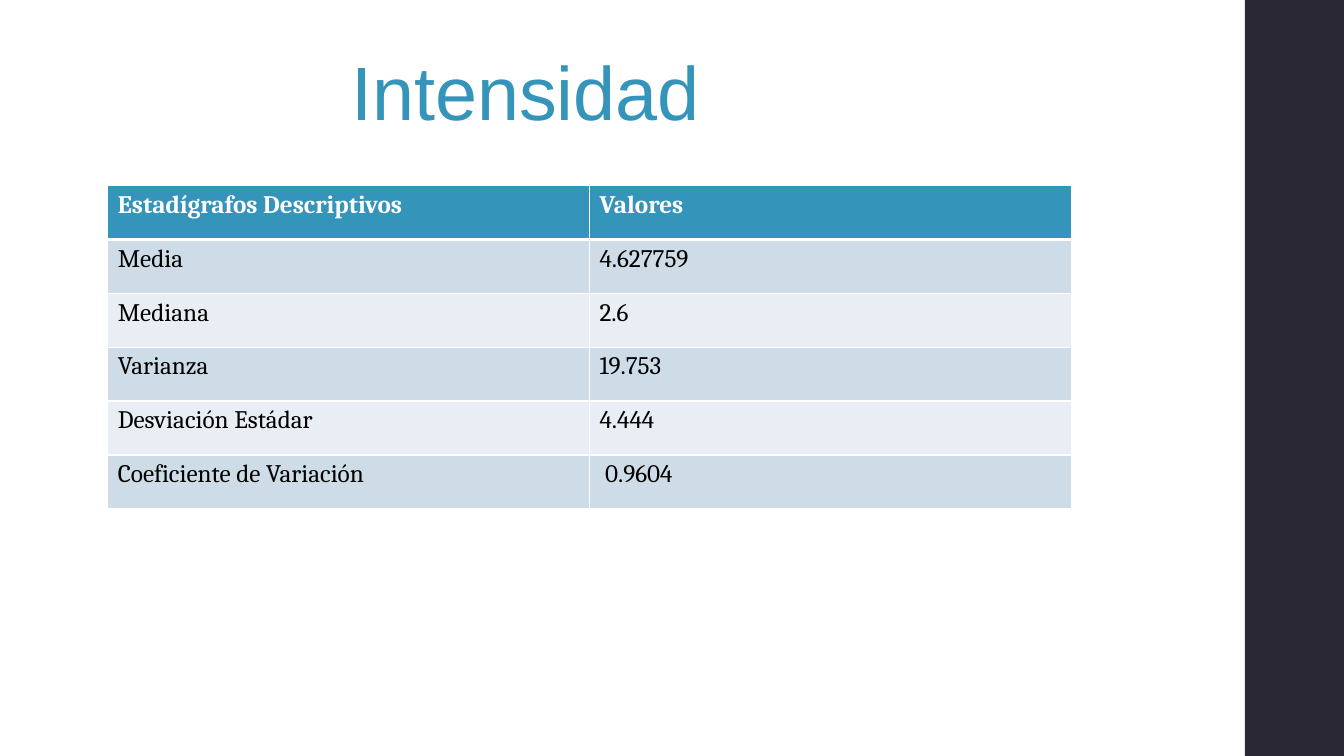
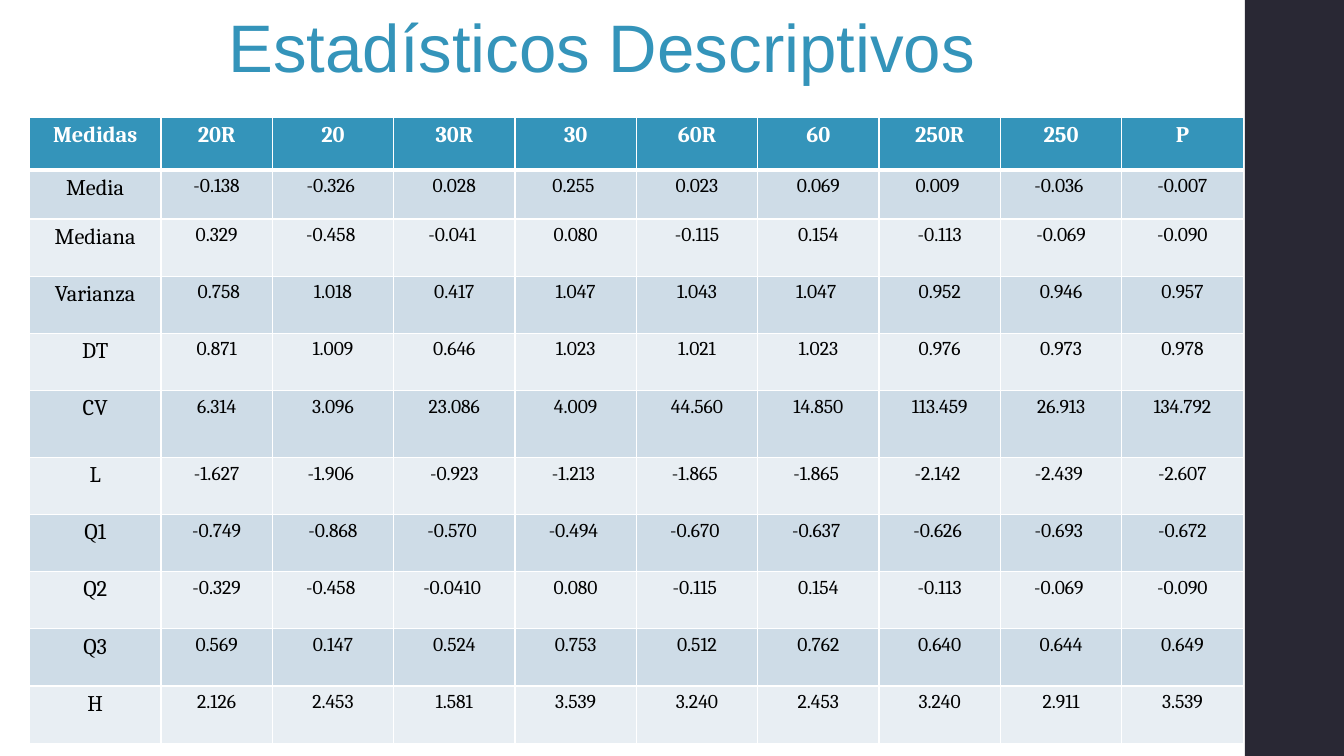
from dataclasses import dataclass

import pptx
import pptx.dml.color
import pptx.enum.shapes
import pptx.enum.text
import pptx.oxml
import pptx.oxml.ns
import pptx.presentation
import pptx.slide
import pptx.table
import pptx.util

SLIDE_WIDTH, SLIDE_HEIGHT = 960, 540
BAND_LEFT = 889.2

TEAL = "3494BA"
DARK = "292834"
WHITE = "FFFFFF"
BLACK = "000000"
ROW_FILLS = ("CEDCE7", "E8EEF3")

TITLE_FONT = "Arial"
TABLE_FONT = "Cambria"
BORDER_WIDTH, HEADER_RULE_WIDTH = 1, 3

LEFT = pptx.enum.text.PP_ALIGN.LEFT
CENTER = pptx.enum.text.PP_ALIGN.CENTER


@dataclass(frozen=True)
class Title:
    text: str
    left: float
    top: float
    width: float
    height: float
    size: float


@dataclass(frozen=True)
class StatisticsTable:
    left: float
    top: float
    column_widths: tuple[float, ...]
    row_heights: tuple[float, ...]
    label_size: float
    value_size: float
    alignment: pptx.enum.text.PP_ALIGN
    rows: tuple[tuple[str, ...], ...]


@dataclass(frozen=True)
class StatisticsSlide:
    title: Title
    table: StatisticsTable


INTENSITY = StatisticsSlide(
    Title("Intensidad", 242.6, 28.8, 265.7, 72.7, 54),
    StatisticsTable(
        left=77, top=132.5,
        column_widths=(344.1,) * 2,
        row_heights=(38.5,) * 6,
        label_size=18, value_size=18, alignment=LEFT,
        rows=(
            ("Estadígrafos Descriptivos", "Valores"),
            ("Media", "4.627759"),
            ("Mediana", "2.6"),
            ("Varianza", "19.753"),
            ("Desviación Estádar", "4.444"),
            ("Coeficiente de Variación", " 0.9604"),
        ),
    ),
)

DESCRIPTIVES = StatisticsSlide(
    Title("Estadísticos Descriptivos", 146.2, 0, 567.4, 65.5, 48),
    StatisticsTable(
        left=21, top=83.5,
        column_widths=(94, 79.5) + (86.7,) * 8,
        row_heights=(38, 35) + (40.8,) * 3 + (48,) + (40.8,) * 5,
        label_size=16, value_size=14, alignment=CENTER,
        rows=(
            ("Medidas", "20R", "20", "30R", "30", "60R", "60", "250R", "250", "P"),
            ("Media", "-0.138", "-0.326 ", "0.028", "0.255 ", "0.023", "0.069",
             "0.009 ", "-0.036 ", "-0.007"),
            ("Mediana", "0.329", "-0.458 ", "-0.041 ", "0.080", "-0.115", "0.154",
             " -0.113 ", "-0.069", "-0.090"),
            ("Varianza", " 0.758", "1.018", "0.417", "1.047", "1.043", "1.047 ",
             "0.952", "0.946", "0.957"),
            ("DT", "0.871", "1.009", "0.646", "1.023", "1.021", "1.023",
             "0.976", "0.973", "0.978"),
            ("CV", "6.314", "3.096", "23.086", "4.009", "44.560", "14.850",
             "113.459", "26.913", "134.792"),
            ("L", "-1.627", "-1.906 ", "-0.923", "-1.213 ", "-1.865 ", "-1.865 ",
             "-2.142 ", "-2.439 ", "-2.607"),
            ("Q1", "-0.749", " -0.868 ", "-0.570 ", "-0.494 ", "-0.670 ", "-0.637 ",
             "-0.626 ", "-0.693 ", "-0.672"),
            ("Q2", "-0.329", "-0.458 ", "-0.0410 ", "0.080", "-0.115 ", "0.154",
             "-0.113", "-0.069 ", "-0.090"),
            ("Q3", "0.569", "0.147", "0.524", "0.753", "0.512", "0.762",
             "0.640", "0.644", "0.649"),
            ("H", "2.126", "2.453", "1.581", "3.539", "3.240", "2.453",
             "3.240", "2.911", "3.539"),
        ),
    ),
)


def color(hex_value: str) -> pptx.dml.color.RGBColor:
    return pptx.dml.color.RGBColor.from_string(hex_value)


def format_paragraph(paragraph, font_name: str, size: float, hex_value: str,
                     alignment: pptx.enum.text.PP_ALIGN, bold: bool = False) -> None:
    paragraph.alignment = alignment
    for run in paragraph.runs:
        run.font.name = font_name
        run.font.size = pptx.util.Pt(size)
        run.font.bold = bold
        run.font.color.rgb = color(hex_value)


def add_side_band(slide: pptx.slide.Slide) -> None:
    band = slide.shapes.add_shape(
        pptx.enum.shapes.MSO_SHAPE.RECTANGLE,
        pptx.util.Pt(BAND_LEFT), pptx.util.Pt(0),
        pptx.util.Pt(SLIDE_WIDTH - BAND_LEFT), pptx.util.Pt(SLIDE_HEIGHT))
    band.shadow.inherit = False
    band.fill.solid()
    band.fill.fore_color.rgb = color(DARK)
    band.line.fill.background()


def add_title(slide: pptx.slide.Slide, title: Title) -> None:
    box = slide.shapes.add_textbox(
        pptx.util.Pt(title.left), pptx.util.Pt(title.top),
        pptx.util.Pt(title.width), pptx.util.Pt(title.height))
    text_frame = box.text_frame
    text_frame.word_wrap = False
    text_frame.auto_size = pptx.enum.text.MSO_AUTO_SIZE.SHAPE_TO_FIT_TEXT
    text_frame.text = title.text
    format_paragraph(text_frame.paragraphs[0], TITLE_FONT, title.size, TEAL, CENTER)


def set_borders(cell: pptx.table._Cell, row_index: int) -> None:
    """Draw white cell borders, with a thicker rule under the header row."""
    widths = {"lnL": BORDER_WIDTH, "lnR": BORDER_WIDTH,
              "lnT": HEADER_RULE_WIDTH if row_index == 1 else BORDER_WIDTH,
              "lnB": HEADER_RULE_WIDTH if row_index == 0 else BORDER_WIDTH}
    properties = cell._tc.get_or_add_tcPr()
    for tag, width in widths.items():
        properties.append(pptx.oxml.parse_xml(
            f'<a:{tag} {pptx.oxml.ns.nsdecls("a")} w="{pptx.util.Pt(width)}">'
            f'<a:solidFill><a:srgbClr val="{WHITE}"/></a:solidFill></a:{tag}>'))


def add_statistics_table(slide: pptx.slide.Slide, statistics: StatisticsTable) -> None:
    frame = slide.shapes.add_table(
        len(statistics.row_heights), len(statistics.column_widths),
        pptx.util.Pt(statistics.left), pptx.util.Pt(statistics.top),
        pptx.util.Pt(sum(statistics.column_widths)),
        pptx.util.Pt(sum(statistics.row_heights)))
    table = frame.table
    table.horz_banding = False
    for column, width in zip(table.columns, statistics.column_widths):
        column.width = pptx.util.Pt(width)
    for row, height in zip(table.rows, statistics.row_heights):
        row.height = pptx.util.Pt(height)

    for row_index, texts in enumerate(statistics.rows):
        is_header = row_index == 0
        fill = TEAL if is_header else ROW_FILLS[(row_index - 1) % 2]
        for column_index, text in enumerate(texts):
            is_label = is_header or column_index == 0
            cell = table.cell(row_index, column_index)
            set_borders(cell, row_index)
            cell.fill.solid()
            cell.fill.fore_color.rgb = color(fill)
            cell.text_frame.text = text
            format_paragraph(
                cell.text_frame.paragraphs[0], TABLE_FONT,
                statistics.label_size if is_label else statistics.value_size,
                WHITE if is_header else BLACK, statistics.alignment, bold=is_header)


def add_statistics_slide(presentation: pptx.presentation.Presentation,
                         content: StatisticsSlide) -> None:
    slide = presentation.slides.add_slide(presentation.slide_layouts[6])
    add_side_band(slide)
    add_title(slide, content.title)
    add_statistics_table(slide, content.table)


def main() -> None:
    presentation = pptx.Presentation()
    presentation.slide_width = pptx.util.Pt(SLIDE_WIDTH)
    presentation.slide_height = pptx.util.Pt(SLIDE_HEIGHT)
    for content in (INTENSITY, DESCRIPTIVES):
        add_statistics_slide(presentation, content)
    presentation.save("out.pptx")


if __name__ == "__main__":
    main()
